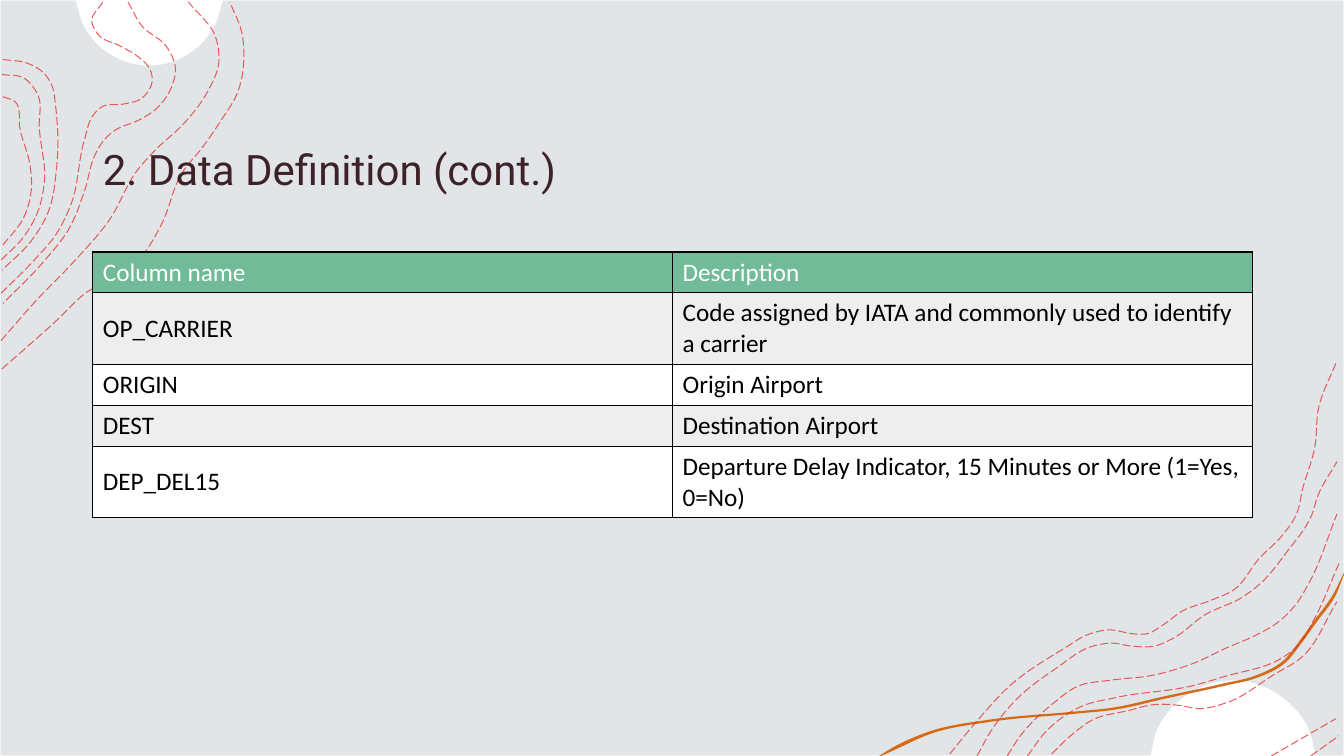
import math
from dataclasses import dataclass

import lxml.etree
import pptx
import pptx.dml.color
import pptx.enum.dml
import pptx.enum.shapes
import pptx.enum.text
import pptx.oxml.ns
import pptx.util

PX = 9144  # one px is a hundredth of an inch
WIDTH, HEIGHT = 1333, 750


@dataclass(frozen=True)
class Theme:
    ground: str = "E2E5E8"
    edge: str = "F2F2F2"
    disc: str = "FFFFFF"
    ribbon: str = "D56A17"
    contour: str = "E72D29"
    title: str = "3D2229"
    header: str = "71BB98"
    header_text: str = "FFFFFF"
    bands: tuple = ("EEEEEE", "FFFFFF")
    ink: str = "000000"
    title_font: str = "Roboto"
    table_font: str = "Calibri"
    title_size: int = 30
    table_size: int = 18


THEME = Theme()

# Contour lines: the points each line passes through, in px
TOP_LEFT_CONTOURS = [
    [(2, 366), (55, 319), (86, 290), (127, 269), (141, 254), (160, 223), (181, 171), (201, 146),
     (219, 120), (236, 91), (242, 53), (240, 33), (228, 2)],
    [(1, 338), (38, 296), (73, 260), (108, 219), (137, 168), (154, 149), (183, 122), (206, 91),
     (217, 63), (214, 37), (187, 2)],
    [(127, 2), (141, 26), (165, 46), (174, 67), (169, 89), (155, 108), (136, 120), (116, 128),
     (104, 138), (95, 152), (84, 189), (69, 226), (42, 261), (3, 301)],
    [(1, 291), (35, 257), (56, 232), (70, 204), (84, 138), (92, 115), (101, 106), (124, 103),
     (140, 98), (151, 81), (149, 69), (138, 57), (120, 46), (98, 35), (91, 21), (102, 2)],
    [(3, 59), (28, 63), (44, 73), (52, 86), (55, 104), (56, 168), (48, 210), (31, 239), (2, 268)],
    [(2, 74), (23, 77), (38, 95), (39, 126), (44, 181), (38, 209), (22, 237), (1, 258)],
    [(3, 96), (15, 101), (20, 129), (30, 165), (31, 189), (23, 217), (3, 243)],
]
BOTTOM_RIGHT_CONTOURS = [
    [(942, 748), (971, 713), (1002, 680), (1056, 643), (1078, 630), (1098, 625), (1126, 629),
     (1137, 629), (1155, 619), (1173, 606), (1200, 596), (1224, 585), (1249, 554), (1272, 531),
     (1286, 510), (1292, 485), (1304, 444), (1308, 404), (1326, 358)],
    [(969, 750), (985, 722), (1008, 694), (1049, 662), (1081, 642), (1103, 638), (1122, 641),
     (1145, 641), (1164, 633), (1195, 610), (1233, 592), (1250, 579), (1276, 548), (1301, 511),
     (1307, 492), (1326, 458)],
    [(1300, 750), (1328, 730)],
    [(1261, 750), (1325, 713)],
    [(1043, 748), (1063, 729), (1084, 714), (1119, 705), (1145, 699), (1171, 700), (1188, 703),
     (1217, 697), (1264, 669), (1290, 653), (1326, 597)],
    [(1019, 750), (1039, 724), (1072, 701), (1107, 692), (1184, 680), (1215, 671), (1271, 653),
     (1288, 640), (1303, 615), (1328, 559)],
    [(999, 750), (1012, 730), (1042, 700), (1071, 680), (1100, 675), (1143, 670), (1184, 658),
     (1216, 643), (1244, 631), (1268, 617), (1285, 600), (1299, 577), (1326, 510)],
]
RIBBON = [(872, 750), (883, 743), (924, 725), (981, 714), (1065, 706), (1104, 702), (1154, 691),
          (1214, 678), (1243, 671), (1271, 657), (1291, 633), (1304, 615), (1322, 590), (1333, 568)]

TABLE_ROWS = [
    ("Column name", "Description"),
    ("OP_CARRIER", "Code assigned by IATA and commonly used to identify a carrier"),
    ("ORIGIN", "Origin Airport"),
    ("DEST", "Destination Airport"),
    ("DEP_DEL15", "Departure Delay Indicator, 15 Minutes or More (1=Yes, 0=No)"),
]
ROW_HEIGHTS = [40, 71, 40, 40, 71]


def rgb(value):
    return pptx.dml.color.RGBColor.from_string(value)


def paint(fill, color):
    fill.solid()
    fill.fore_color.rgb = rgb(color)


def set_text(tf, text, color, **font):
    p = tf.paragraphs[0]
    p.alignment = pptx.enum.text.PP_ALIGN.LEFT
    r = p.add_run()
    r.text = text
    r.font.color.rgb = rgb(color)
    for name, value in font.items():
        setattr(r.font, name, value)


def bezier_stretches(points):
    """Return the two handles and the end of each stretch of a smooth curve."""
    knots = [complex(*point) for point in points]
    gaps = [b - a for a, b in zip(knots, knots[1:])]
    units = [gap / abs(gap) for gap in gaps]
    inner = [(u * abs(h) + v * abs(g)) / (abs(g) + abs(h))
             for u, v, g, h in zip(units, units[1:], gaps, gaps[1:])]
    slopes = [units[0], *inner, units[-1]]
    return [(knots[i] + slopes[i] * abs(gap) / 3, knots[i + 1] - slopes[i + 1] * abs(gap) / 3, knots[i + 1])
            for i, gap in enumerate(gaps)]


def add_outline(shapes, edges, close):
    """Draw smooth edges, joined one to the next by straight lines."""
    points = [(x * PX, y * PX) for edge in edges for x, y in edge]
    builder = shapes.build_freeform(*points[0], scale=1.0)
    builder.add_line_segments(points[1:], close=close)
    sp = builder.convert_to_shape()
    sp.shadow.inherit = False
    left, top = (min(axis) for axis in zip(*points))
    # Bend the straight pieces; None leaves the join between two edges straight
    stretches = [item for edge in edges for item in [*bezier_stretches(edge), None]]
    for line, stretch in zip(list(sp._element.iter(pptx.oxml.ns.qn("a:lnTo"))), stretches):
        if stretch is None:
            continue
        bend = lxml.etree.Element(pptx.oxml.ns.qn("a:cubicBezTo"))
        for z in stretch:
            lxml.etree.SubElement(bend, pptx.oxml.ns.qn("a:pt"),
                                  x=str(round(z.real * PX - left)), y=str(round(z.imag * PX - top)))
        line.getparent().replace(line, bend)
    return sp


def add_solid(shapes, edges, color):
    sp = add_outline(shapes, edges, True)
    paint(sp.fill, color)
    sp.line.fill.background()


def add_disc(shapes, cx, cy, radius, start, sweep):
    angles = [math.radians(start + sweep * i / 8) for i in range(9)]
    arc = [(round(cx + radius * math.cos(a)), round(cy + radius * math.sin(a))) for a in angles]
    add_solid(shapes, [arc], THEME.disc)


def add_contours(shapes, contours):
    group = shapes.add_group_shape()
    for points in contours:
        sp = add_outline(group.shapes, [points], False)
        sp.fill.background()
        sp.line.color.rgb = rgb(THEME.contour)
        sp.line.width = pptx.util.Pt(0.75)
        sp.line.dash_style = pptx.enum.dml.MSO_LINE.LONG_DASH
        color = sp._element.find(".//" + pptx.oxml.ns.qn("a:ln")).find(".//" + pptx.oxml.ns.qn("a:srgbClr"))
        lxml.etree.SubElement(color, pptx.oxml.ns.qn("a:alpha"), val="75000")


def add_backdrop(s, x, y, w, h):
    placeholders = list(s.shapes)
    sp = s.shapes.add_shape(pptx.enum.shapes.MSO_SHAPE.RECTANGLE, x * PX, y * PX, w * PX, h * PX)
    sp.shadow.inherit = False
    paint(sp.fill, THEME.ground)
    sp.line.color.rgb = rgb(THEME.edge)
    sp.line.width = pptx.util.Pt(1)
    add_disc(s.shapes, x + 148, y - 8, 73, 6, 168)
    add_disc(s.shapes, x + w - 110, y + h + 7, 82, 185, 170)
    lower = [(min(px + 2, w), min(py + 2, h)) for px, py in reversed(RIBBON)]
    add_solid(s.shapes, [RIBBON, lower], THEME.ribbon)
    add_contours(s.shapes, TOP_LEFT_CONTOURS)
    add_contours(s.shapes, BOTTOM_RIGHT_CONTOURS)
    # The backdrop belongs to the layout, behind the slide's own content
    for shape in list(s.shapes)[len(placeholders):]:
        s.slide_layout.shapes._spTree.append(shape._element)


def add_title(s, text, x, y, w, h):
    title = s.shapes.title
    for name, value in {"left": x, "top": y, "width": w, "height": h}.items():
        setattr(title, name, value * PX)
    tf = title.text_frame
    tf.auto_size = pptx.enum.text.MSO_AUTO_SIZE.NONE
    tf.vertical_anchor = pptx.enum.text.MSO_ANCHOR.MIDDLE
    set_text(tf, text, THEME.title, name=THEME.title_font, size=pptx.util.Pt(THEME.title_size))


def add_borders(cell):
    tcPr = cell._tc.get_or_add_tcPr()
    for i, side in enumerate(("a:lnL", "a:lnR", "a:lnT", "a:lnB")):
        ln = lxml.etree.Element(pptx.oxml.ns.qn(side), w="12700")
        fill = lxml.etree.SubElement(ln, pptx.oxml.ns.qn("a:solidFill"))
        lxml.etree.SubElement(fill, pptx.oxml.ns.qn("a:srgbClr"), val=THEME.ink)
        tcPr.insert(i, ln)


def add_definitions(s, rows, heights, x, y, w):
    table = s.shapes.add_table(len(rows), len(rows[0]), x * PX, y * PX, w * PX, sum(heights) * PX).table
    for i, (row, height) in enumerate(zip(rows, heights)):
        table.rows[i].height = height * PX
        for j, text in enumerate(row):
            cell = table.cell(i, j)
            cell.vertical_anchor = pptx.enum.text.MSO_ANCHOR.MIDDLE
            paint(cell.fill, THEME.bands[(i - 1) % 2] if i else THEME.header)
            set_text(cell.text_frame, text, THEME.ink if i else THEME.header_text,
                     name=THEME.table_font, size=pptx.util.Pt(THEME.table_size), bold=False)
            add_borders(cell)


def main():
    prs = pptx.Presentation()
    prs.slide_width, prs.slide_height = WIDTH * PX, HEIGHT * PX
    s = prs.slides.add_slide(prs.slide_layouts[5])
    add_backdrop(s, 0, 0, WIDTH, HEIGHT)
    add_title(s, "2. Data Definition (cont.)", 92, 95, 1150, 145)
    add_definitions(s, TABLE_ROWS, ROW_HEIGHTS, 92, 250, 1150)
    prs.save("out.pptx")


if __name__ == "__main__":
    main()
